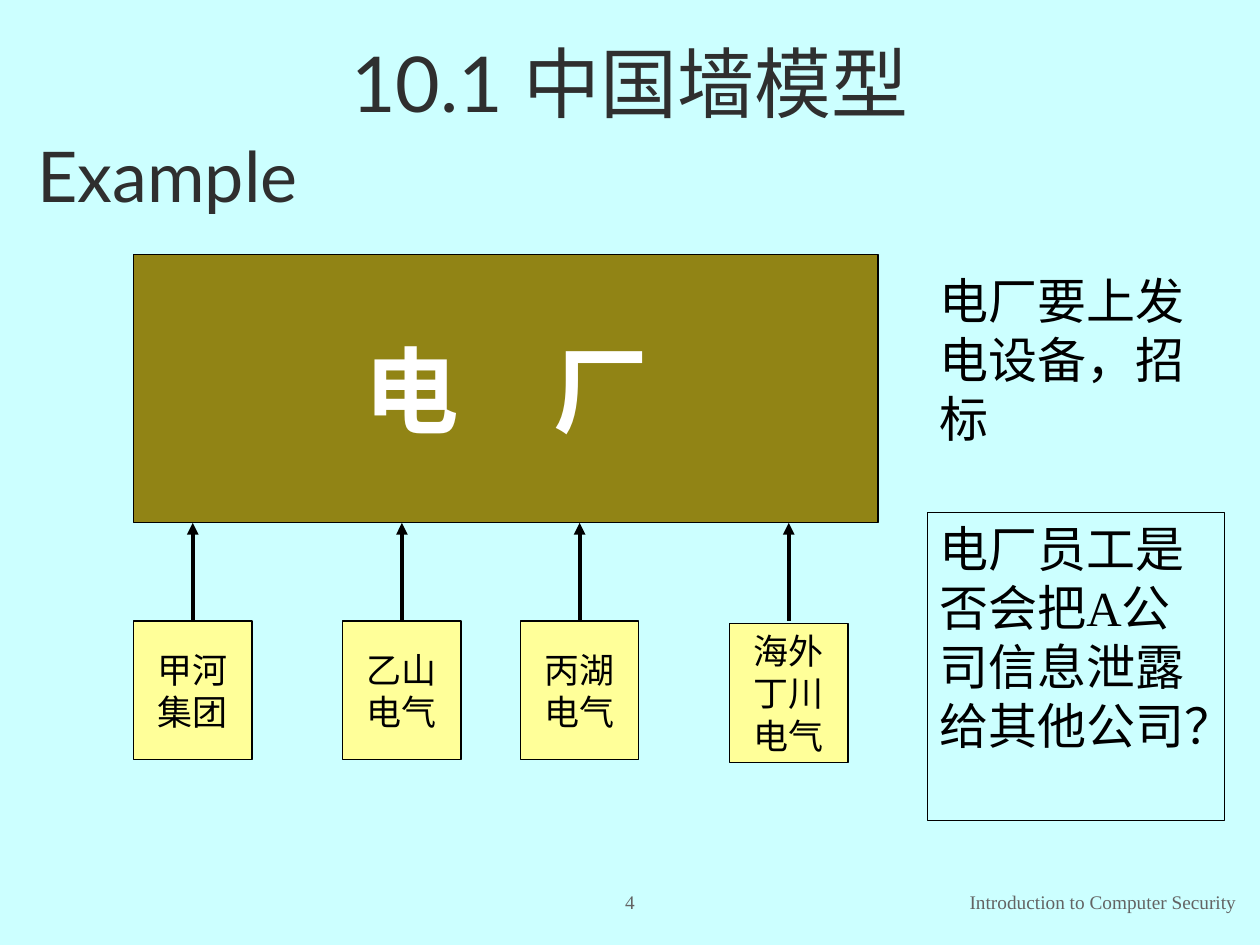
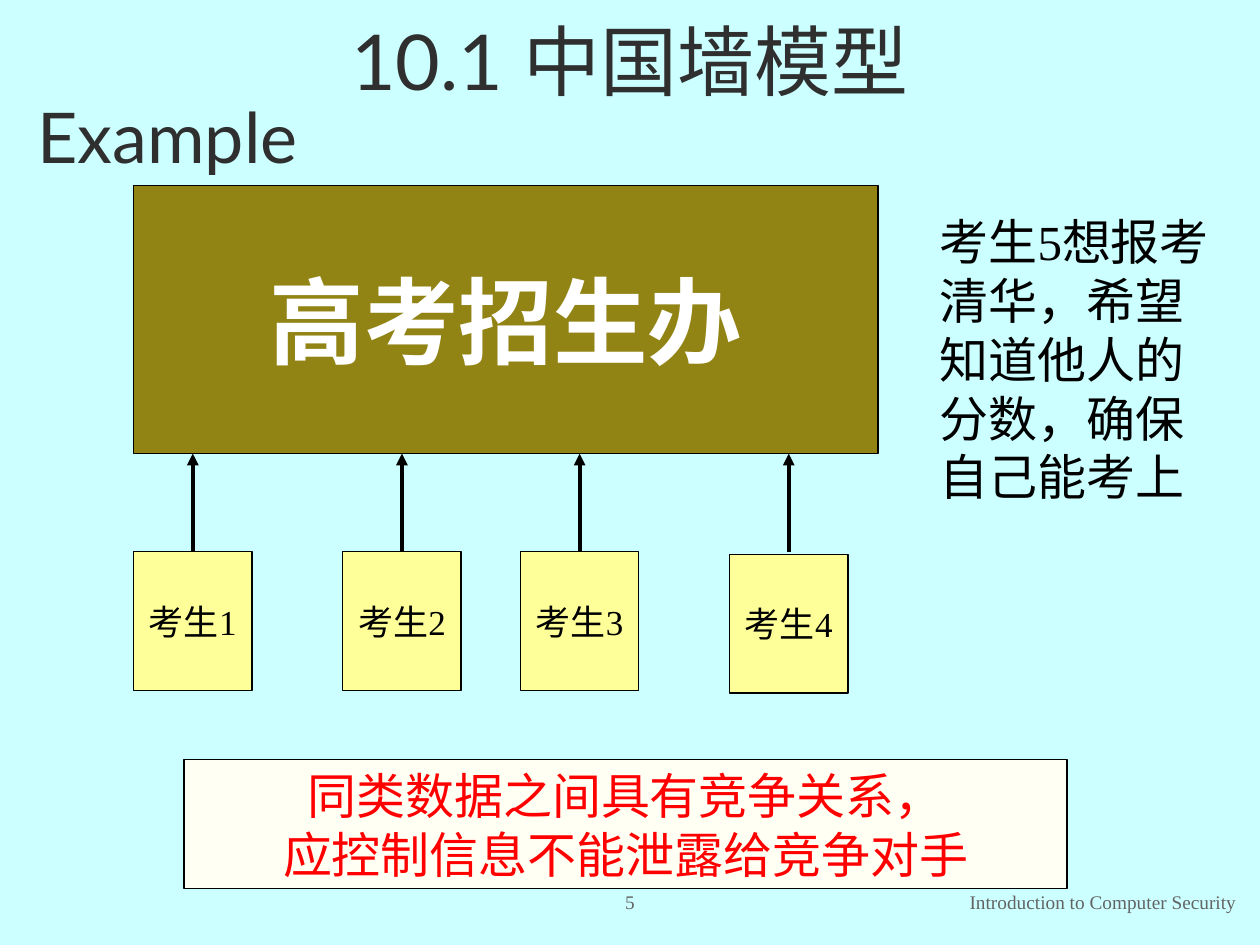
from lxml import etree
from pptx import Presentation
from pptx.dml.color import RGBColor
from pptx.enum.shapes import MSO_CONNECTOR as Connector, MSO_SHAPE as Shape
from pptx.enum.text import MSO_ANCHOR as Anchor, MSO_AUTO_SIZE as AutoSize, PP_ALIGN as Align
from pptx.oxml.ns import qn
from pptx.util import Inches, Pt

# Content
HEADING = "10.1 中国墙模型"
SUBTITLE = "Example"
FOOTER = "Introduction to Computer Security"

# Tops are inches; each side note is (text, top, height, framed)
EXAMPLES = [
    {
        "page": "4", "heading_top": 0.3, "subtitle_top": 0.99, "hub_top": 2.02,
        "hub": "电　厂",
        "parties": [["甲河", "集团"], ["乙山", "电气"], ["丙湖", "电气"],
                    ["海外", "丁川", "电气"]],
        "notes": [("电厂要上发电设备，招标", 2.1, 1.5, False),
                  ("电厂员工是否会把A公司信息泄露给其他公司？", 4.07, 2.44, True)],
        "conclusion": [],
    },
    {
        "page": "5", "heading_top": 0.13, "subtitle_top": 0.68, "hub_top": 1.47,
        "hub": "高考招生办",
        "parties": [[f"考生{number}"] for number in range(1, 5)],
        "notes": [("考生5想报考清华，希望知道他人的分数，确保自己能考上", 1.63, 2.9, False)],
        "conclusion": ["同类数据之间具有竞争关系，", "应控制信息不能泄露给竞争对手"],
    },
]

# Colours
SKY = RGBColor(0xCC, 0xFF, 0xFF)
OLIVE = RGBColor(0x91, 0x84, 0x15)
YELLOW = RGBColor(0xFF, 0xFF, 0x99)
IVORY = RGBColor(0xFF, 0xFF, 0xF4)
CHARCOAL = RGBColor(0x2F, 0x2F, 0x2F)
GREY = RGBColor(0x63, 0x63, 0x63)
BLACK = RGBColor(0, 0, 0)
WHITE = RGBColor(0xFF, 0xFF, 0xFF)
RED = RGBColor(0xFF, 0, 0)

# Text formats: font values and alignment
SERIF, SANS = "Times New Roman", "Lato"


def text_format(size, colour, align=Align.CENTER, name=SERIF, bold=False):
    return {"size": Pt(size), "name": name, "bold": bold}, colour, align


HEADING_TEXT = text_format(44, CHARCOAL, name=SANS)
SUBTITLE_TEXT = text_format(40, CHARCOAL, Align.LEFT, SANS)
FOOTER_TEXT = text_format(11, GREY, Align.RIGHT)
PAGE_TEXT = text_format(11, GREY)
HUB_TEXT = text_format(54, WHITE, bold=True)
PARTY_TEXT = text_format(20, BLACK)
NOTE_TEXT = text_format(28, BLACK, Align.LEFT)
CONCLUSION_TEXT = text_format(28, RED)

# Grid of the diagram
SLIDE_W, SLIDE_H = 10, 7.5
HUB_LEFT, HUB_W, HUB_H = 1.06, 5.91, 2.13
PARTY_W, PARTY_H = 0.94, 1.1
PARTY_STEPS = [0, 1.66, 3.07, 4.73]
PARTY_DROPS = [0, 0, 0, 0.02]
ARROW_H = 0.78
NOTE_LEFT, NOTE_W = 7.36, 2.36


def write(frame, lines, style, wrap=True, anchor=Anchor.MIDDLE):
    values, colour, align = style
    frame.word_wrap = wrap
    frame.vertical_anchor = anchor
    frame.text = "\n".join(lines)
    for paragraph in frame.paragraphs:
        paragraph.alignment = align
        for run in paragraph.runs:
            for key, value in values.items():
                setattr(run.font, key, value)
            run.font.color.rgb = colour


def add_label(slide, area, text, style):
    label = slide.shapes.add_textbox(*map(Inches, area))
    write(label.text_frame, [text], style)


def add_panel(slide, area, lines, style, fill=None, framed=True, **layout):
    panel = slide.shapes.add_shape(Shape.RECTANGLE, *map(Inches, area))
    panel.shadow.inherit = False
    if fill is None:
        panel.fill.background()
    else:
        panel.fill.solid()
        panel.fill.fore_color.rgb = fill
    if framed:
        panel.line.color.rgb = BLACK
        panel.line.width = Pt(0.75)
    else:
        panel.line.fill.background()
    write(panel.text_frame, lines, style, **layout)
    return panel


def add_arrow(slide, x, start, end):
    arrow = slide.shapes.add_connector(
        Connector.STRAIGHT, *map(Inches, (x, start, x, end)))
    arrow.line.color.rgb = BLACK
    arrow.line.width = Pt(2.25)
    etree.SubElement(arrow.line._get_or_add_ln(), qn("a:tailEnd"), type="triangle")
    etree.SubElement(arrow._element.spPr, qn("a:effectLst"))


def add_diagram(slide, example):
    hub_top = example["hub_top"]
    hub_bottom = hub_top + HUB_H
    row_top = hub_bottom + ARROW_H
    add_panel(slide, (HUB_LEFT, hub_top, HUB_W, HUB_H), [example["hub"]],
              HUB_TEXT, OLIVE, wrap=False)
    for party, step, drop in zip(example["parties"], PARTY_STEPS, PARTY_DROPS):
        left = HUB_LEFT + step
        add_panel(slide, (left, row_top + drop, PARTY_W, PARTY_H), party,
                  PARTY_TEXT, YELLOW, wrap=False)
        add_arrow(slide, left + PARTY_W / 2, row_top, hub_bottom)


def add_example(deck, example):
    slide = deck.slides.add_slide(deck.slide_layouts[6])
    slide.background.fill.solid()
    slide.background.fill.fore_color.rgb = SKY

    # Headings and footer
    add_label(slide, (0.2, example["subtitle_top"], 9, 0.79), SUBTITLE, SUBTITLE_TEXT)
    add_label(slide, (5.83, 7, 4.08, 0.31), FOOTER, FOOTER_TEXT)
    add_label(slide, (4.5, 7, 1, 0.31), example["page"], PAGE_TEXT)
    add_label(slide, (0.5, example["heading_top"], 9, 0.69), HEADING, HEADING_TEXT)

    # Diagram, side notes and conclusion
    add_diagram(slide, example)
    for text, top, height, framed in example["notes"]:
        note = add_panel(slide, (NOTE_LEFT, top, NOTE_W, height), [text], NOTE_TEXT,
                         framed=framed, anchor=Anchor.TOP)
        note.text_frame.auto_size = AutoSize.SHAPE_TO_FIT_TEXT
    if example["conclusion"]:
        add_panel(slide, (1.46, 6.03, 7.01, 1.02), example["conclusion"],
                  CONCLUSION_TEXT, IVORY, wrap=False)


def main():
    deck = Presentation()
    deck.slide_width, deck.slide_height = Inches(SLIDE_W), Inches(SLIDE_H)
    for example in EXAMPLES:
        add_example(deck, example)
    deck.save("out.pptx")


if __name__ == "__main__":
    main()
